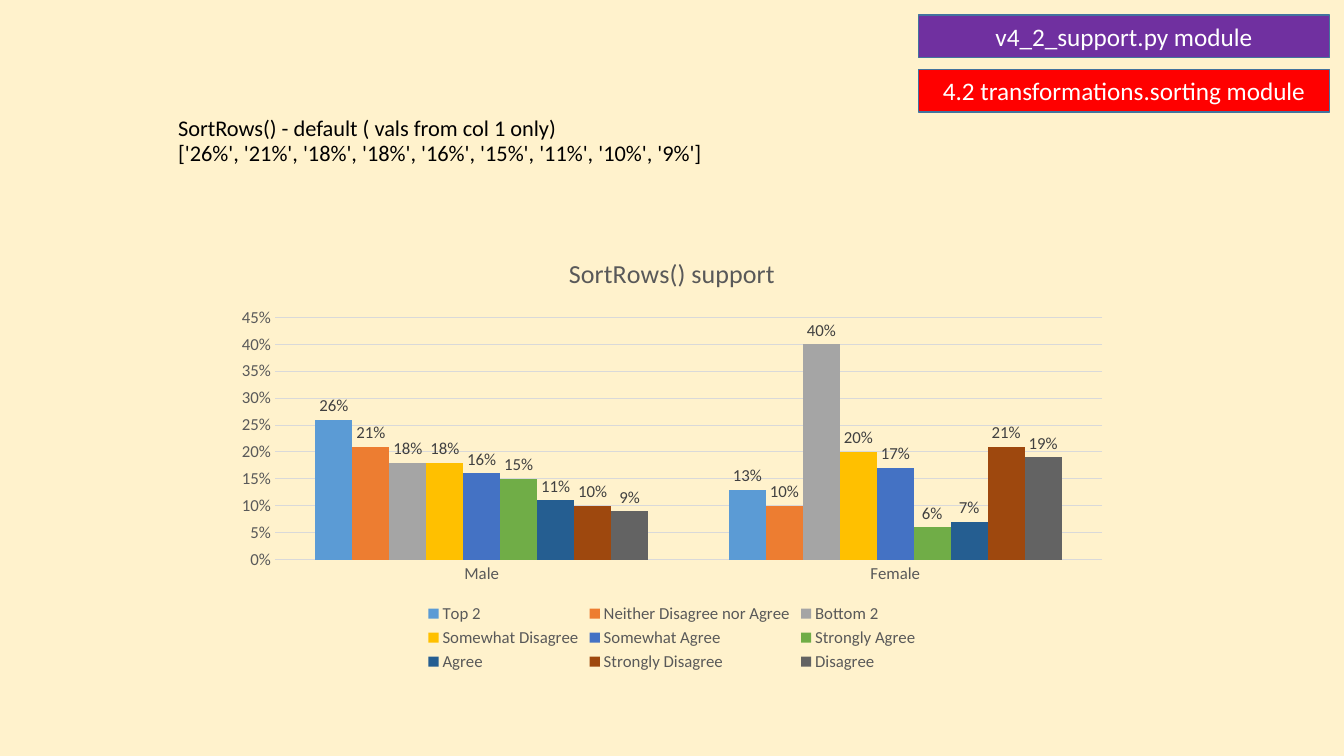
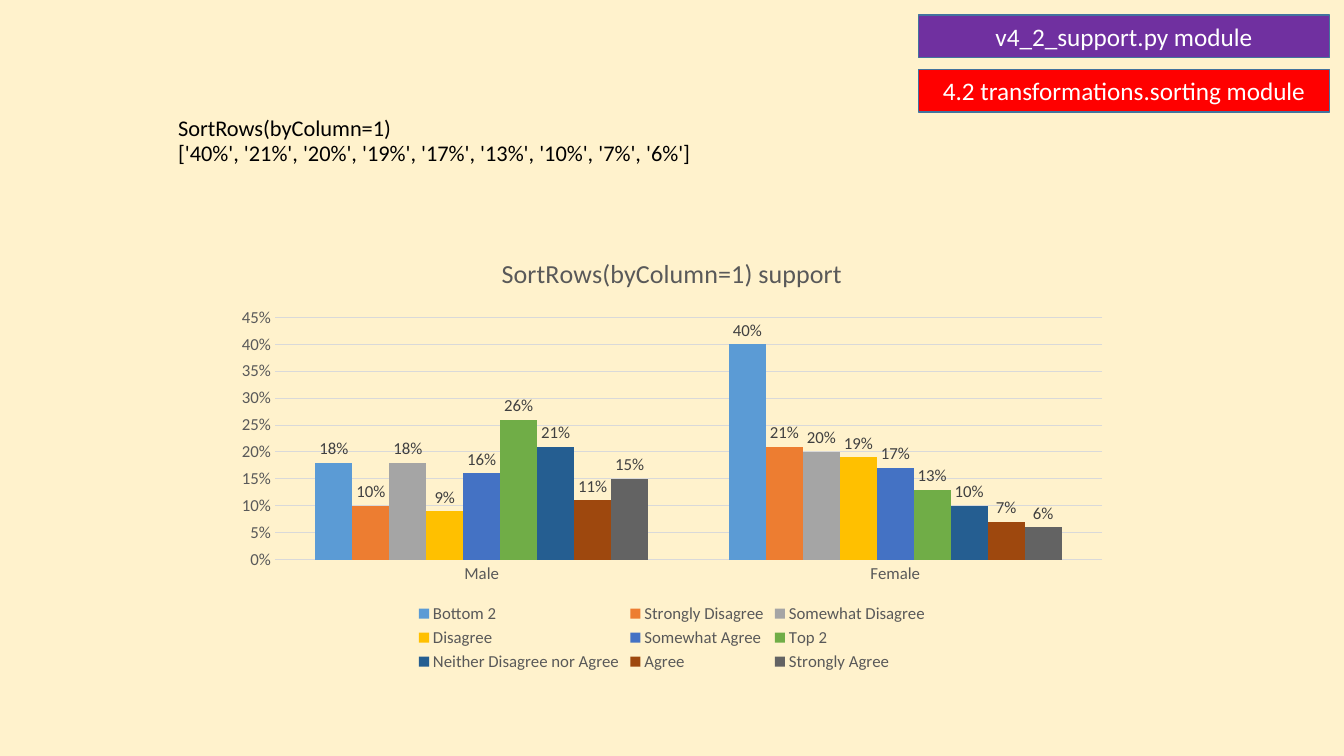
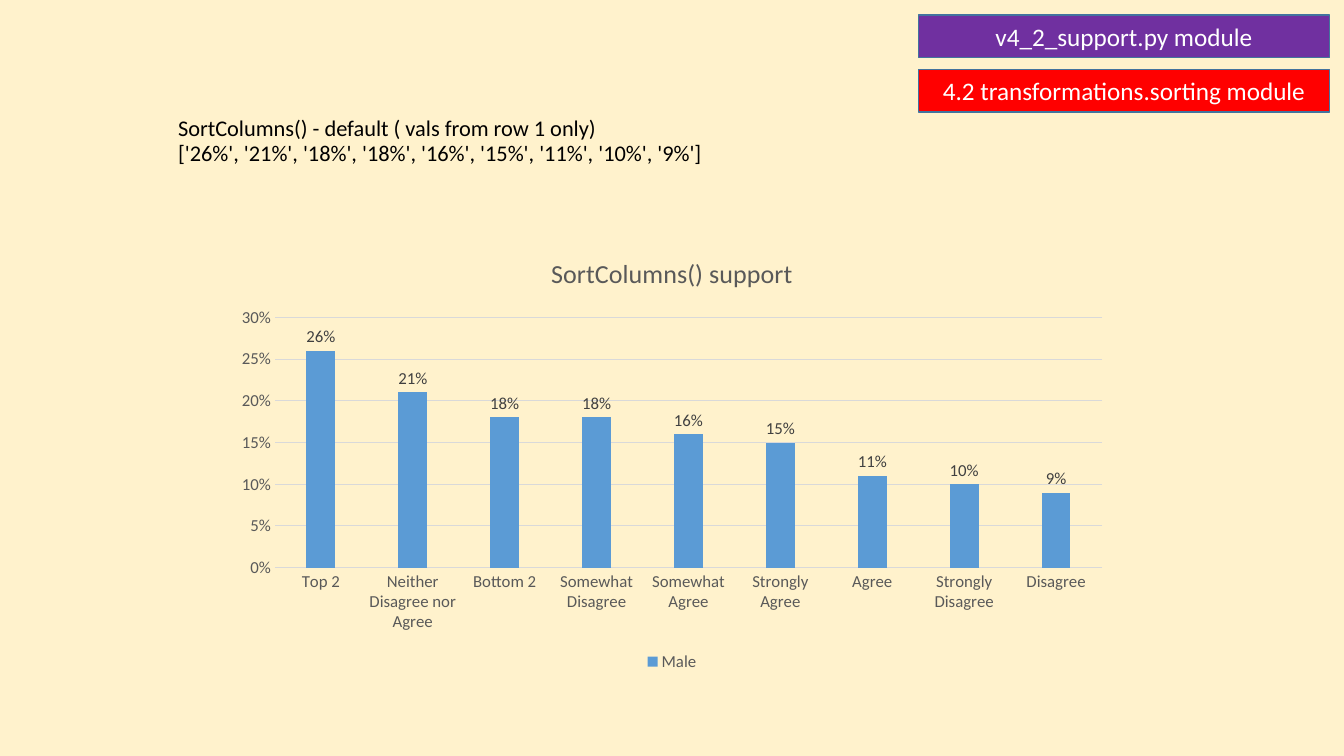
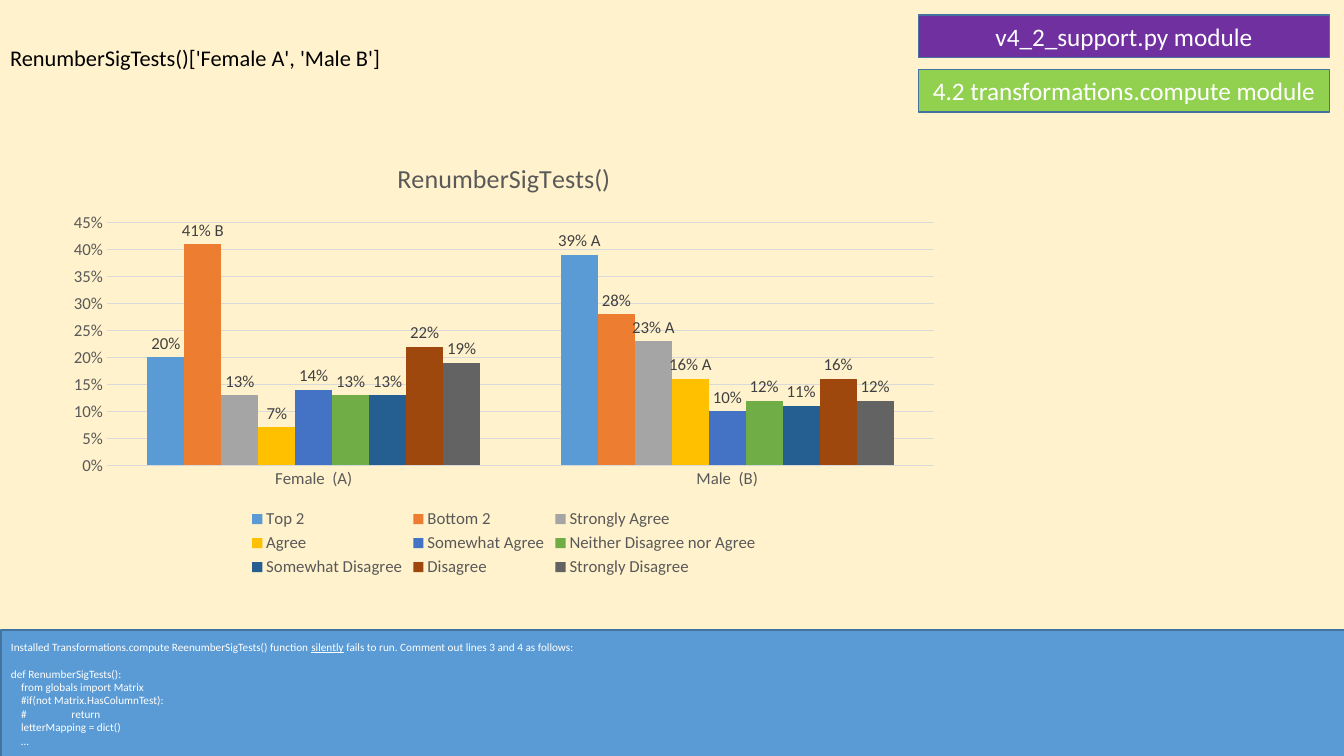
from pptx import Presentation
from pptx.chart.data import CategoryChartData
from pptx.dml.color import RGBColor
from pptx.enum.chart import XL_CHART_TYPE, XL_LABEL_POSITION, XL_LEGEND_POSITION, XL_TICK_MARK
from pptx.enum.shapes import MSO_SHAPE
from pptx.enum.text import MSO_ANCHOR, MSO_AUTO_SIZE, PP_ALIGN
from pptx.oxml import parse_xml
from pptx.oxml.ns import nsdecls
from pptx.util import Inches, Pt

FONT = "Calibri"
PALETTE = ["5B9BD5", "ED7D31", "A5A5A5", "FFC000", "4472C4", "70AD47", "255E91", "9E480E", "636363"]
GRAY, LABEL_GRAY, GRID_GRAY = "595959", "404040", "D9D9D9"


def color(value):
    return RGBColor.from_string(value)


def write(frame, paragraphs, size=16, ink="000000", align=PP_ALIGN.LEFT, spacing=1.0, underlined=""):
    for index, spans in enumerate(paragraphs):
        para = frame.paragraphs[0] if index == 0 else frame.add_paragraph()
        para.alignment = align
        para.line_spacing = spacing
        for text in spans:
            for part, piece in enumerate(text.split("\v")):
                if part:
                    para.add_line_break()
                span = para.add_run()
                span.text = piece
                span.font.name = FONT
                span.font.size = Pt(size)
                span.font.color.rgb = color(ink)
                if text == underlined:
                    span.font.underline = True


deck = Presentation()
deck.slide_width, deck.slide_height = Inches(13.33), Inches(7.5)
column, row = deck.slide_width / 24, deck.slide_height / 16

background = deck.slide_master.background.fill
background.solid()
background.fore_color.rgb = color("FFF2CC")

layout = deck.slide_layouts[0]
for holder in list(layout.placeholders)[1:]:
    holder.element.getparent().remove(holder.element)

survey = [
    ("Top 2", 0.26, 0.13),
    ("Neither Disagree nor Agree", 0.21, 0.10),
    ("Bottom 2", 0.18, 0.40),
    ("Somewhat Disagree", 0.18, 0.20),
    ("Somewhat Agree", 0.16, 0.17),
    ("Strongly Agree", 0.15, 0.06),
    ("Agree", 0.11, 0.07),
    ("Strongly Disagree", 0.10, 0.21),
    ("Disagree", 0.09, 0.19),
]
by_female = sorted(survey, key=lambda answer: answer[2], reverse=True)
renumbered = [
    ("Top 2", 0.20, 0.39),
    ("Bottom 2", 0.41, 0.28),
    ("Strongly Agree", 0.13, 0.23),
    ("Agree", 0.07, 0.16),
    ("Somewhat Agree", 0.14, 0.10),
    ("Neither Disagree nor Agree", 0.13, 0.12),
    ("Somewhat Disagree", 0.13, 0.11),
    ("Disagree", 0.22, 0.16),
    ("Strongly Disagree", 0.19, 0.12),
]
male_list = str([f"{answer[1]:.0%}" for answer in survey])
female_list = str([f"{answer[2]:.0%}" for answer in by_female])
genders = ["Male", "Female"]
male_only = [("Male", *[answer[1] for answer in survey])]
significant = {("Top 2", 1): "39% A", ("Bottom 2", 0): "41% B",
               ("Strongly Agree", 1): "23% A", ("Agree", 1): "16% A"}

sorting_band = ("4.2 transformations.sorting module", "FF0000")
compute_band = ("4.2 transformations.compute module", "92D050")
sorting_place = (3, 2, 4, 5)
compute_place = (0, 0, 1, 3)

pages = [
    (f"SortRows() - default ( vals from col 1 only)\v{male_list}",
     "SortRows() support", genders, survey, 0.45, sorting_band, sorting_place),
    (f"SortRows(byColumn=1)\v{female_list}",
     "SortRows(byColumn=1) support", genders, by_female, 0.45, sorting_band, sorting_place),
    (f"SortColumns() - default ( vals from row 1 only)\v{male_list}",
     "SortColumns() support", [answer[0] for answer in survey], male_only, 0.30, sorting_band, sorting_place),
    ("RenumberSigTests()['Female A', 'Male B']",
     "RenumberSigTests()", ["Female  (A)", "Male  (B)"], renumbered, 0.45, compute_band, compute_place),
]
code_note = [
    ["Installed Transformations.compute ReenumberSigTests() function ", "silently",
     " fails to run. Comment out lines 3 and 4 as follows:"],
    ["def RenumberSigTests():"],
    ["from globals import Matrix"],
    ["#if(not Matrix.HasColumnTest):"],
    ["#\treturn"],
    ["letterMapping = dict()"],
    ["…"],
]

for number, (heading, caption, categories, answers, top_value, band, place) in enumerate(pages):
    title_column, title_row, chart_column, chart_row = place
    page = deck.slides.add_slide(layout)

    title = page.shapes.title
    title.left, title.top = int(title_column * column), int(title_row * row)
    title.width, title.height = int(18 * column), int(1.62 * row)
    title.text_frame.vertical_anchor = MSO_ANCHOR.BOTTOM
    title.text_frame.auto_size = MSO_AUTO_SIZE.NONE
    title.text_frame.word_wrap = True
    write(title.text_frame, [[heading]], spacing=0.9)

    data = CategoryChartData(number_format="0%")
    data.categories = categories
    for name, *values in answers:
        data.add_series(name, values)
    chart = page.shapes.add_chart(
        XL_CHART_TYPE.COLUMN_CLUSTERED, int(chart_column * column), int(chart_row * row),
        int(16 * column), int(9.3 * row), data).chart
    chart.font.name = FONT
    chart.font.size = Pt(12)
    chart.font.color.rgb = color(GRAY)
    chart.has_title = True
    write(chart.chart_title.text_frame, [[caption]], size=18.6, ink=GRAY, align=PP_ALIGN.CENTER)
    for para in chart.chart_title.text_frame.paragraphs:
        para.font.bold = False
        para.runs[0].font.bold = False
    chart.has_legend = True
    chart.legend.position = XL_LEGEND_POSITION.BOTTOM
    chart.legend.include_in_layout = False

    for axis in (chart.category_axis, chart.value_axis):
        axis.major_tick_mark = axis.minor_tick_mark = XL_TICK_MARK.NONE
    chart.value_axis.minimum_scale = 0
    chart.value_axis.maximum_scale = top_value
    chart.value_axis.major_unit = 0.05
    chart.value_axis.tick_labels.number_format = "0%"
    chart.value_axis.tick_labels.number_format_is_linked = False
    chart.value_axis.format.line.fill.background()
    for line in (chart.category_axis.format.line, chart.value_axis.major_gridlines.format.line):
        line.color.rgb = color(GRID_GRAY)
        line.width = Pt(0.75)

    plot = chart.plots[0]
    plot.gap_width = 219
    plot.vary_by_categories = False
    for series, fill in zip(plot.series, PALETTE):
        series.format.fill.solid()
        series.format.fill.fore_color.rgb = color(fill)
        series.invert_if_negative = False
        labels = series.data_labels
        labels.show_value = True
        labels.position = XL_LABEL_POSITION.OUTSIDE_END
        labels.number_format = "0%"
        labels.number_format_is_linked = False
        labels.font.name = FONT
        labels.font.size = Pt(12)
        labels.font.color.rgb = color(LABEL_GRAY)
        for (name, point), text in significant.items():
            if answers is renumbered and series.name == name:
                label = series.points[point].data_label
                write(label.text_frame, [[text]], size=12, ink=LABEL_GRAY, align=PP_ALIGN.CENTER)
                label.position = XL_LABEL_POSITION.OUTSIDE_END

    band_text, band_fill = band
    boxes = [(16.4, 1.47, 7.34, 0.9, band_fill, [[band_text]], 18, PP_ALIGN.CENTER)]
    if number == 0:
        boxes.append((16.4, 0.32, 7.34, 0.9, "7030A0", [["v4_2_support.py module"]], 18, PP_ALIGN.CENTER))
    if answers is renumbered:
        boxes.append((0.02, 13.33, 24, 2.7, "5B9BD5", code_note, 8, PP_ALIGN.LEFT))
    for left, top, width, height, fill, paragraphs, size, align in boxes:
        box = page.shapes.add_shape(MSO_SHAPE.RECTANGLE, int(left * column), int(top * row),
                                    int(width * column), int(height * row))
        box.shadow.inherit = False
        box.fill.solid()
        box.fill.fore_color.rgb = color(fill)
        box.line.color.rgb = color("43739E")
        box.line.width = Pt(1)
        box.text_frame.word_wrap = True
        box.text_frame.vertical_anchor = MSO_ANCHOR.MIDDLE
        write(box.text_frame, paragraphs, size=size, ink="FFFFFF", align=align, underlined="silently")
        if paragraphs is code_note:
            box.text_frame.paragraphs[0].space_after = Pt(9.6)
            for para in box.text_frame.paragraphs[2:]:
                properties = para._p.get_or_add_pPr()
                properties.set("marL", str(Inches(0.1)))
                properties.set("indent", "0")
                properties.append(parse_xml(
                    f'<a:tabLst {nsdecls("a")}><a:tab pos="{Inches(0.26)}" algn="l"/></a:tabLst>'))
        if top < 1:
            layout.shapes.element.append(box.element)

deck.save("out.pptx")
